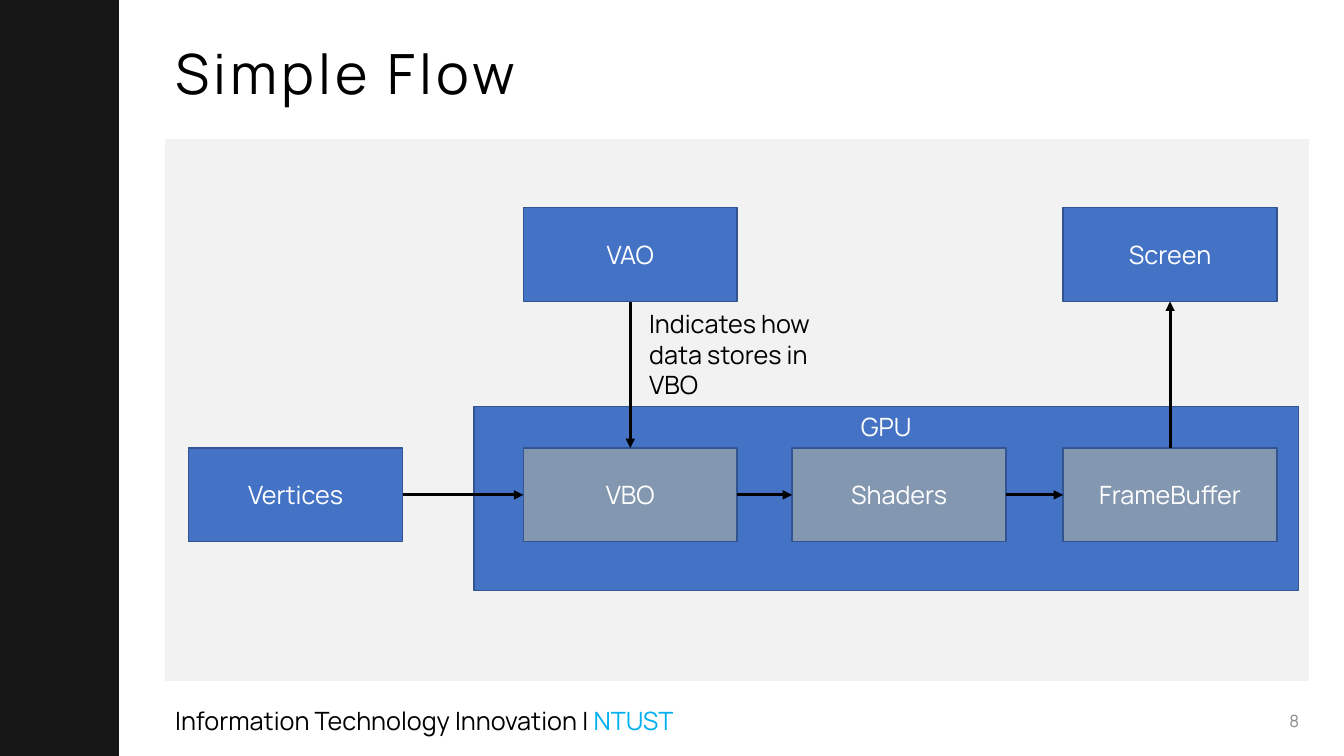
from lxml import etree
from pptx import Presentation
from pptx.dml.color import RGBColor
from pptx.enum.shapes import MSO_CONNECTOR, MSO_SHAPE
from pptx.enum.text import MSO_ANCHOR, MSO_AUTO_SIZE, PP_ALIGN
from pptx.oxml.ns import qn
from pptx.util import Pt

RECT = MSO_SHAPE.RECTANGLE
STRAIGHT = MSO_CONNECTOR.STRAIGHT
TOP, MIDDLE = MSO_ANCHOR.TOP, MSO_ANCHOR.MIDDLE
LEFT, CENTER, RIGHT = PP_ALIGN.LEFT, PP_ALIGN.CENTER, PP_ALIGN.RIGHT
NO_FIT = MSO_AUTO_SIZE.NONE
BLUE, GRAY, BORDER = "4472C4", "8497B0", "325491"
BLACK, WHITE = "000000", "FFFFFF"


def rgb(value):
    return RGBColor.from_string(value)


def write(sp, runs, size, align, anchor):
    tf = sp.text_frame
    tf.word_wrap = True
    tf.auto_size = NO_FIT
    tf.vertical_anchor = anchor
    p = tf.paragraphs[0]
    p.alignment = align
    for text, color in runs:
        r = p.add_run()
        r.text = text
        r.font.name = "Manrope"
        r.font.size = Pt(size)
        r.font.color.rgb = rgb(color)
    return p


prs = Presentation()
prs.slide_width, prs.slide_height = Pt(960), Pt(540)
s = prs.slides.add_slide(prs.slide_layouts[5])

title = s.shapes.title
title.left, title.top, title.width, title.height = Pt(118), Pt(28.8), Pt(817), Pt(52)
p = write(title, [("Simple Flow", BLACK)], 39.6, LEFT, MIDDLE)
p.line_spacing = 0.9
p.runs[0].font._element.set("spc", "300")

col1, col2, col3, col4 = 134.8, 373.8, 565.8, 759.4
upper, lower = 148.4, 320
box_w, box_h = 152.8, 67

rects = [
    ("panel", "", 118, 99.4, 817, 387, "F2F2F2", MIDDLE),
    ("sidebar", "", 0, 0, 85, 540, "171717", MIDDLE),
    ("gpu", "GPU", 338.6, 290.2, 589, 131.4, BLUE, TOP),
    ("vbo", "VBO", col2, lower, box_w, box_h, GRAY, MIDDLE),
    ("vao", "VAO", col2, upper, box_w, box_h, BLUE, MIDDLE),
    ("vertices", "Vertices", col1, lower, box_w, box_h, BLUE, MIDDLE),
    ("shaders", "Shaders", col3, lower, box_w, box_h, GRAY, MIDDLE),
    ("framebuffer", "FrameBuffer", col4, lower, box_w, box_h, GRAY, MIDDLE),
    ("screen", "Screen", col4, upper, box_w, box_h, BLUE, MIDDLE),
]
shapes = {}
for name, text, x, y, w, h, fill, anchor in rects:
    sp = s.shapes.add_shape(RECT, Pt(x), Pt(y), Pt(w), Pt(h))
    sp.shadow.inherit = False
    sp.fill.solid()
    sp.fill.fore_color.rgb = rgb(fill)
    if text:
        sp.line.color.rgb = rgb(BORDER)
        sp.line.width = Pt(1)
        write(sp, [(text, WHITE)], 18, CENTER, anchor)
    else:
        sp.line.fill.background()
    shapes[name] = sp

flows = [
    ("vao", 2, "vbo", 0),
    ("vertices", 3, "vbo", 1),
    ("vbo", 3, "shaders", 1),
    ("shaders", 3, "framebuffer", 1),
    ("framebuffer", 0, "screen", 2),
]
for source, out_side, target, in_side in flows:
    arrow = s.shapes.add_connector(STRAIGHT, 0, 0, 0, 0)
    arrow.begin_connect(shapes[source], out_side)
    arrow.end_connect(shapes[target], in_side)
    arrow.line.color.rgb = rgb(BLACK)
    arrow.line.width = Pt(2.25)
    etree.SubElement(arrow.line._get_or_add_ln(), qn("a:tailEnd"), type="triangle")
    etree.SubElement(arrow._element.spPr, qn("a:effectLst"))

footer = [("Information Technology Innovation | ", BLACK), ("NTUST", "00B0F0")]
labels = [
    ([("Indicates how data stores in VBO", BLACK)], 456.6, 217, 152.8, 72, 18, LEFT, TOP),
    (footer, 118, 500.4, 403, 29, 18, LEFT, TOP),
    ([("8", "8C8C8C")], 719, 500.4, 216, 29, 12, RIGHT, MIDDLE),
]
for runs, x, y, w, h, size, align, anchor in labels:
    sp = s.shapes.add_textbox(Pt(x), Pt(y), Pt(w), Pt(h))
    write(sp, runs, size, align, anchor)

prs.save("out.pptx")
